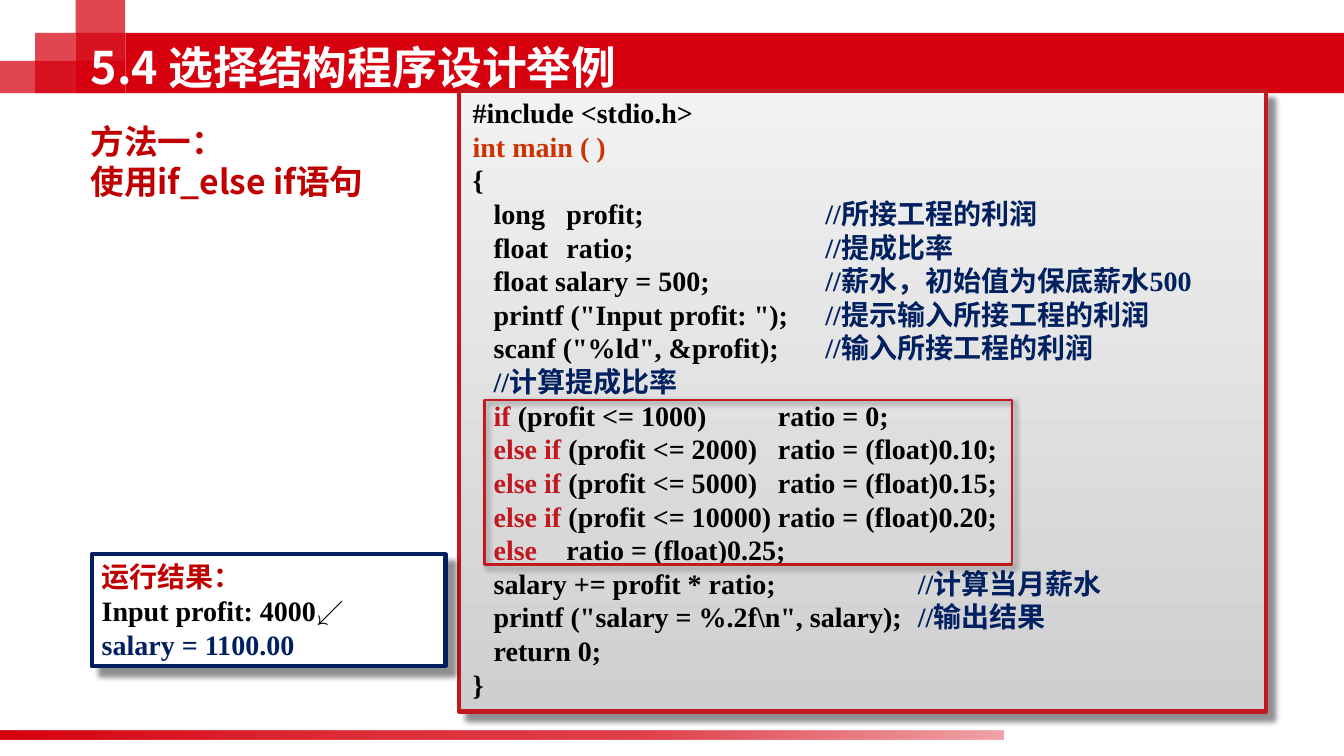
import pptx
import pptx.util
import pptx.dml.color
import pptx.enum.shapes
import pptx.enum.text
import pptx.oxml
import pptx.oxml.ns
from lxml import etree

Pt = pptx.util.Pt
RGB = pptx.dml.color.RGBColor
ANCHOR = pptx.enum.text.MSO_ANCHOR
qn = pptx.oxml.ns.qn
NS = 'xmlns:a="http://schemas.openxmlformats.org/drawingml/2006/main"'

BAND = RGB(0xD7, 0x00, 0x0F)
FRAME = RGB(0xC0, 0x19, 0x20)
HEADING = RGB(0xC0, 0x00, 0x00)
NAVY = RGB(0x00, 0x20, 0x60)
ORANGE = RGB(0xCC, 0x33, 0x00)
BLACK = RGB(0x00, 0x00, 0x00)
WHITE = RGB(0xFF, 0xFF, 0xFF)
PANEL_TOP = RGB(0xF2, 0xF2, 0xF2)
PANEL_BOTTOM = RGB(0xCF, 0xCF, 0xD1)

SANS = "Noto Sans CJK SC"
SERIF = "Times New Roman"

TITLE = "5.4 选择结构程序设计举例"
METHOD = ["方法一：", "使用if_else if语句"]

# Tab stops of the code, from the left edge of its text
NAME, RATIO, NOTE, LATE_NOTE = 67, 218, 252, 318

# Each line: tab stops, then (text, colour) runs
CODE = [
    ([], [("#include <stdio.h>", BLACK)]),
    ([], [("int main ( )", ORANGE)]),
    ([], [("{", BLACK)]),
    ([NAME, NOTE], [("   long\tprofit;\t", BLACK), ("//所接工程的利润", NAVY)]),
    ([NAME, NOTE], [("   float\tratio;\t", BLACK), ("//提成比率", NAVY)]),
    ([NOTE], [("   float salary = 500;\t", BLACK), ("//薪水，初始值为保底薪水500", NAVY)]),
    ([NOTE], [('   printf ("Input profit: ");\t', BLACK), ("//提示输入所接工程的利润", NAVY)]),
    ([NOTE], [('   scanf ("%ld", &profit);\t', BLACK), ("//输入所接工程的利润", NAVY)]),
    ([], [("   //计算提成比率", NAVY)]),
    ([RATIO], [("   if ", FRAME), ("(profit <= 1000)\tratio = 0;", BLACK)]),
    ([RATIO], [("   else if ", FRAME), ("(profit <= 2000)\tratio = (float)0.10;", BLACK)]),
    ([RATIO], [("   else if ", FRAME), ("(profit <= 5000)\tratio = (float)0.15;", BLACK)]),
    ([RATIO], [("   else if ", FRAME), ("(profit <= 10000)\tratio = (float)0.20;", BLACK)]),
    ([NAME], [("   else\t", FRAME), ("ratio = (float)0.25;", BLACK)]),
    ([LATE_NOTE], [("   salary += profit * ratio;\t", BLACK), ("//计算当月薪水", NAVY)]),
    ([LATE_NOTE], [('   printf ("salary = %.2f\\n", salary);\t', BLACK), ("//输出结果", NAVY)]),
    ([], [("   return 0;", BLACK)]),
    ([], [("}", BLACK)]),
]
RESULT = [
    (SANS, [("运行结果：", HEADING)]),
    (SERIF, [("Input profit: 4000↙", BLACK)]),
    (SERIF, [("salary = 1100.00", NAVY)]),
]

# left, top, width, height, opacity in percent
BLOCKS = [
    (0, 43.5, 89.5, 23, 73),
    (25, 23.5, 29, 43, 73),
    (54, 0, 35.5, 43.5, 73),
    (54, 23.5, 35.5, 20, 73),
    (89.5, 23.5, 870.5, 43, 100),
    (54, 43.5, 35.5, 23, 100),
]
# position, colour, opacity in percent
FOOTER_STOPS = [(0, BAND, 100), (31, BAND, 84), (64, BAND, 75), (100, BAND, 36)]
PANEL_STOPS = [(0, PANEL_BOTTOM, 100), (100, PANEL_TOP, 100)]


def add_rect(shapes, box, fill=None, line=None, line_width=0):
    sp = shapes.add_shape(pptx.enum.shapes.MSO_SHAPE.RECTANGLE, *map(Pt, box))
    sp.shadow.inherit = False
    if fill is None:
        sp.fill.background()
    else:
        sp.fill.solid()
        sp.fill.fore_color.rgb = fill
    if line is None:
        sp.line.fill.background()
    else:
        sp.line.color.rgb = line
        sp.line.width = Pt(line_width)
    return sp


def set_opacity(sp, percent):
    color = sp.fill._xPr.find(qn("a:solidFill"))[0]
    etree.SubElement(color, qn("a:alpha")).set("val", str(percent * 1000))


def set_gradient(sp, stops, degrees):
    stop_xml = "".join(
        f'<a:gs pos="{pos * 1000}"><a:srgbClr val="{color}">'
        f'<a:alpha val="{alpha * 1000}"/></a:srgbClr></a:gs>'
        for pos, color, alpha in stops)
    grad = pptx.oxml.parse_xml(
        f'<a:gradFill {NS} rotWithShape="1"><a:gsLst>{stop_xml}</a:gsLst>'
        f'<a:lin ang="{degrees * 60000}" scaled="0"/></a:gradFill>')
    spPr = sp._element.spPr
    spPr.replace(spPr.find(qn("a:solidFill")), grad)


def add_shadow(sp, opacity, distance):
    effects = sp._element.spPr.find(qn("a:effectLst"))
    effects.append(pptx.oxml.parse_xml(
        f'<a:outerShdw {NS} blurRad="{Pt(4)}" dist="{Pt(distance)}" dir="2700000" '
        f'algn="tl" rotWithShape="0"><a:srgbClr val="{BLACK}">'
        f'<a:alpha val="{opacity * 1000}"/></a:srgbClr></a:outerShdw>'))


def set_frame(sp, left=7.2, anchor=ANCHOR.TOP):
    tf = sp.text_frame
    tf.word_wrap = True
    tf.auto_size = pptx.enum.text.MSO_AUTO_SIZE.NONE
    tf.margin_left, tf.margin_right = Pt(left), Pt(7.2)
    tf.margin_top = tf.margin_bottom = Pt(3.6)
    tf.vertical_anchor = anchor
    return tf


def write_line(tf, index, runs, font, size, tabs=()):
    """Write one bold paragraph with a fixed line pitch of 1.2 times its size."""
    p = tf.paragraphs[0] if index == 0 else tf.add_paragraph()
    p.alignment = pptx.enum.text.PP_ALIGN.LEFT
    p.line_spacing = Pt(size * 1.2)
    p.space_before = p.space_after = Pt(0)
    if tabs:
        tab_list = etree.SubElement(p._p.get_or_add_pPr(), qn("a:tabLst"))
        for stop in tabs:
            etree.SubElement(tab_list, qn("a:tab"), pos=str(Pt(stop)), algn="l")
    p.font.name, p.font.size, p.font.bold = font, Pt(size), True
    etree.SubElement(p.font._element, qn("a:ea")).set("typeface", SANS)
    if len(runs) == 1:
        p.font.color.rgb = runs[0][1]
    for text, color in runs:
        r = p.add_run()
        r.text = text
        if len(runs) > 1:
            r.font.color.rgb = color


def main():
    prs = pptx.Presentation()
    prs.slide_width, prs.slide_height = Pt(960), Pt(540)
    s = prs.slides.add_slide(prs.slide_layouts[5])
    shapes = s.shapes
    title = shapes.title

    for *box, opacity in BLOCKS:
        set_opacity(add_rect(shapes, box, BAND), opacity)
    footer = add_rect(shapes, (0, 522, 716.5, 6), BAND)
    set_gradient(footer, FOOTER_STOPS, 0)

    panel = add_rect(shapes, (327.6, 64.8, 576.7, 443.5), PANEL_TOP, FRAME, 3)
    set_gradient(panel, PANEL_STOPS, 270)
    add_shadow(panel, 43, 8.4)
    tf = set_frame(panel, left=10)
    for i, (tabs, runs) in enumerate(CODE):
        write_line(tf, i, runs, SERIF, 20, tabs)

    result = add_rect(shapes, (65.5, 396, 252.7, 80), WHITE, NAVY, 3)
    add_shadow(result, 43, 8.4)
    tf = set_frame(result, anchor=ANCHOR.MIDDLE)
    for i, (font, runs) in enumerate(RESULT):
        write_line(tf, i, runs, font, 20)

    method = shapes.add_textbox(Pt(57.6), Pt(82.8), Pt(235.4), Pt(102.2))
    tf = set_frame(method)
    for i, text in enumerate(METHOD):
        write_line(tf, i, [(text, HEADING)], SANS, 24)

    branches = add_rect(shapes, (346.3, 285.8, 376.6, 117.4), None, FRAME, 2)
    add_shadow(branches, 40, 3)

    title.left, title.top, title.width, title.height = map(Pt, (57.6, 23.8, 640.8, 48.2))
    write_line(set_frame(title, anchor=ANCHOR.MIDDLE), 0, [(TITLE, WHITE)], SANS, 32)
    shapes._spTree.append(title._element)  # the title lies above the red band

    prs.save("out.pptx")


if __name__ == "__main__":
    main()
